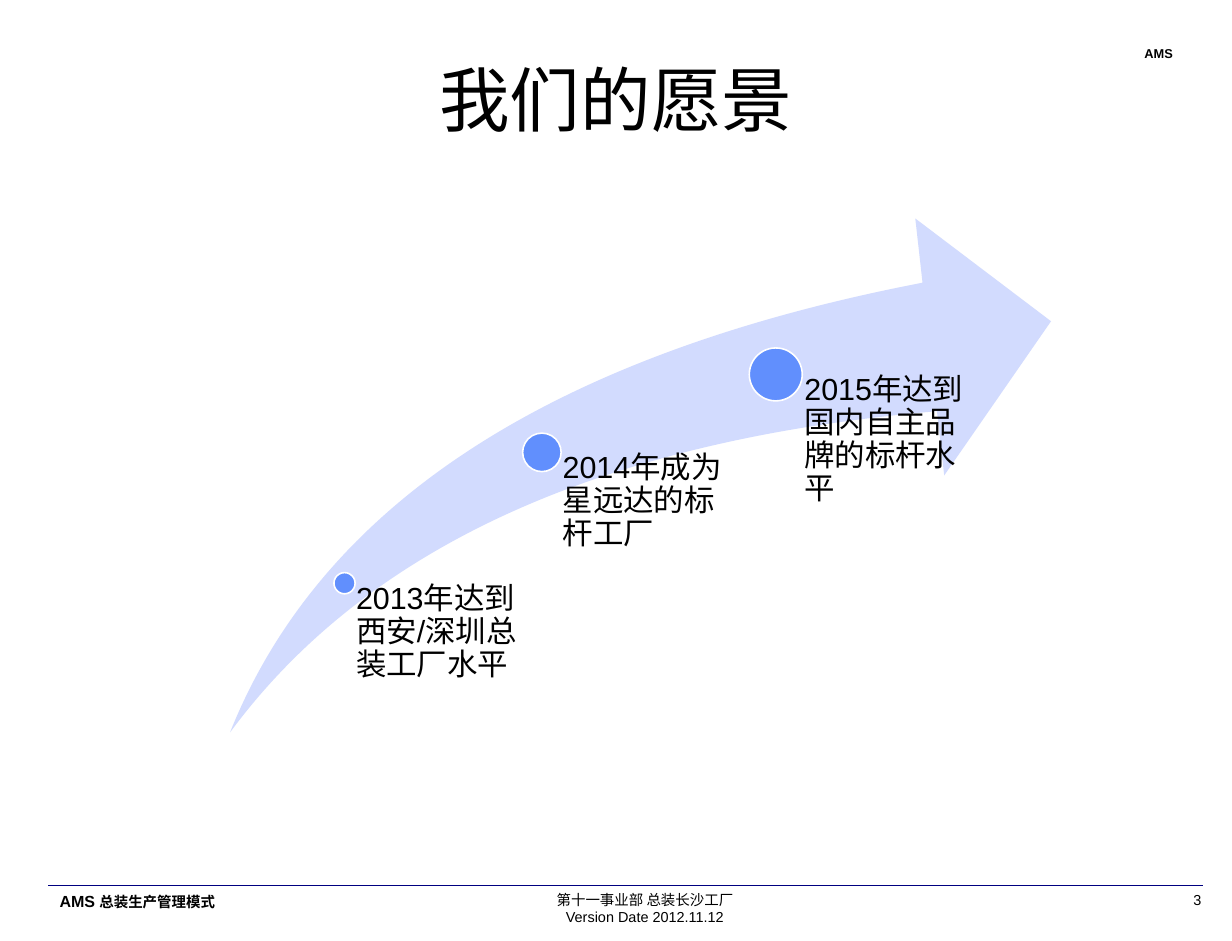
"""Build the vision slide: a rising arrow with three yearly milestones."""
from lxml import etree
from pptx import Presentation
from pptx.dml.color import RGBColor
from pptx.enum.shapes import MSO_CONNECTOR, MSO_SHAPE
from pptx.enum.text import MSO_ANCHOR, MSO_AUTO_SIZE, PP_ALIGN
from pptx.oxml.ns import qn
from pptx.util import Inches, Pt

BLACK = RGBColor(0x00, 0x00, 0x00)
WHITE = RGBColor(0xFF, 0xFF, 0xFF)
NAVY = RGBColor(0x00, 0x00, 0x80)
PALE_BLUE = RGBColor(0xD2, 0xDB, 0xFE)
BLUE = RGBColor(0x61, 0x8F, 0xFD)
LEFT, CENTER, RIGHT = PP_ALIGN.LEFT, PP_ALIGN.CENTER, PP_ALIGN.RIGHT
TOP, NO_FIT = MSO_ANCHOR.TOP, MSO_AUTO_SIZE.NONE
SWOOSH, OVAL = MSO_SHAPE.SWOOSH_ARROW, MSO_SHAPE.OVAL
STRAIGHT = MSO_CONNECTOR.STRAIGHT

prs = Presentation()
prs.slide_width = Inches(10.67)
prs.slide_height = Inches(8.15)
COLUMNS = 128
UNIT = prs.slide_width / COLUMNS
slide = prs.slides.add_slide(prs.slide_layouts[5])


def grid(*cells):
    """Turn counts of grid cells into lengths."""
    return [round(cell * UNIT) for cell in cells]


def add_text(box, lines, size, bold=False, align=LEFT):
    """Add a wrapped Arial text box and return its frame."""
    frame = slide.shapes.add_textbox(*grid(*box)).text_frame
    frame.word_wrap = True
    frame.text = lines
    for line in frame.paragraphs:
        line.alignment = align
        line.font.name = "Arial"
        line.font.size = Pt(size)
        line.font.bold = bold
        line.font.color.rgb = BLACK
    return frame


FOOTER_TOP = 92
footer_name = add_text((5, FOOTER_TOP, 25, 6), "AMS ", 10, bold=True)
mode = footer_name.paragraphs[0].add_run()
mode.text = "总装生产管理模式"
mode.font.size = Pt(9)
add_text((48, FOOTER_TOP, 38, 6),
         "第十一事业部 总装长沙工厂\nVersion Date 2012.11.12", 9, align=CENTER)
add_text((121.3, FOOTER_TOP, 4.7, 3), "3", 9, align=RIGHT)

footer_rule = slide.shapes.add_connector(
    STRAIGHT, *grid(5, FOOTER_TOP, 125, FOOTER_TOP))
footer_rule.line.color.rgb = NAVY
footer_rule.line.width = Pt(1)
etree.SubElement(footer_rule.element.spPr, qn("a:effectLst"))

header = add_text((116, 4.2, 8, 2.8), "AMS", 8, bold=True)
header.margin_left = grid(2.9)[0]

title = slide.shapes.title
title.left, title.top, title.width, title.height = grid(8.8, 5.2, 110.4, 18.8)
title.text_frame.text = "我们的愿景"
title.text_frame.vertical_anchor = TOP
title.text_frame.auto_size = NO_FIT
heading = title.text_frame.paragraphs[0]
heading.alignment = CENTER
heading.font.name = "Times New Roman"
heading.font.size = Pt(44)
heading.font.color.rgb = BLACK

ARROW_TOP, ARROW_HEIGHT = 22.7, 53.4
ARROW_BOTTOM = ARROW_TOP + ARROW_HEIGHT
growth = slide.shapes.add_shape(
    SWOOSH, *grid(23.9, ARROW_TOP, 85.3, ARROW_HEIGHT))
growth.adjustments[0] = growth.adjustments[1] = 0.25
growth.fill.solid()
growth.fill.fore_color.rgb = PALE_BLUE
growth.line.fill.background()
growth.shadow.inherit = False

milestones = [
    (35.8, 60.6, 2.2, 19.9, "2013年达到西安/深圳总装工厂水平"),
    (56.3, 47, 4, 20.5, "2014年成为星远达的标杆工厂"),
    (80.6, 38.9, 5.5, 20.5, "2015年达到国内自主品牌的标杆水平"),
]
for x, y, diameter, width, goal in milestones:
    dot = slide.shapes.add_shape(
        OVAL, *grid(x - diameter / 2, y - diameter / 2, diameter, diameter))
    dot.fill.solid()
    dot.fill.fore_color.rgb = BLUE
    dot.line.color.rgb = WHITE
    dot.line.width = Pt(1)
    dot.shadow.inherit = False

    caption = add_text((x, y, width, ARROW_BOTTOM - y), goal, 19)
    caption.margin_left = grid(diameter * 0.54)[0]
    caption.margin_top = caption.margin_right = caption.margin_bottom = 0
    caption.paragraphs[0].line_spacing = 0.9

prs.save("out.pptx")
